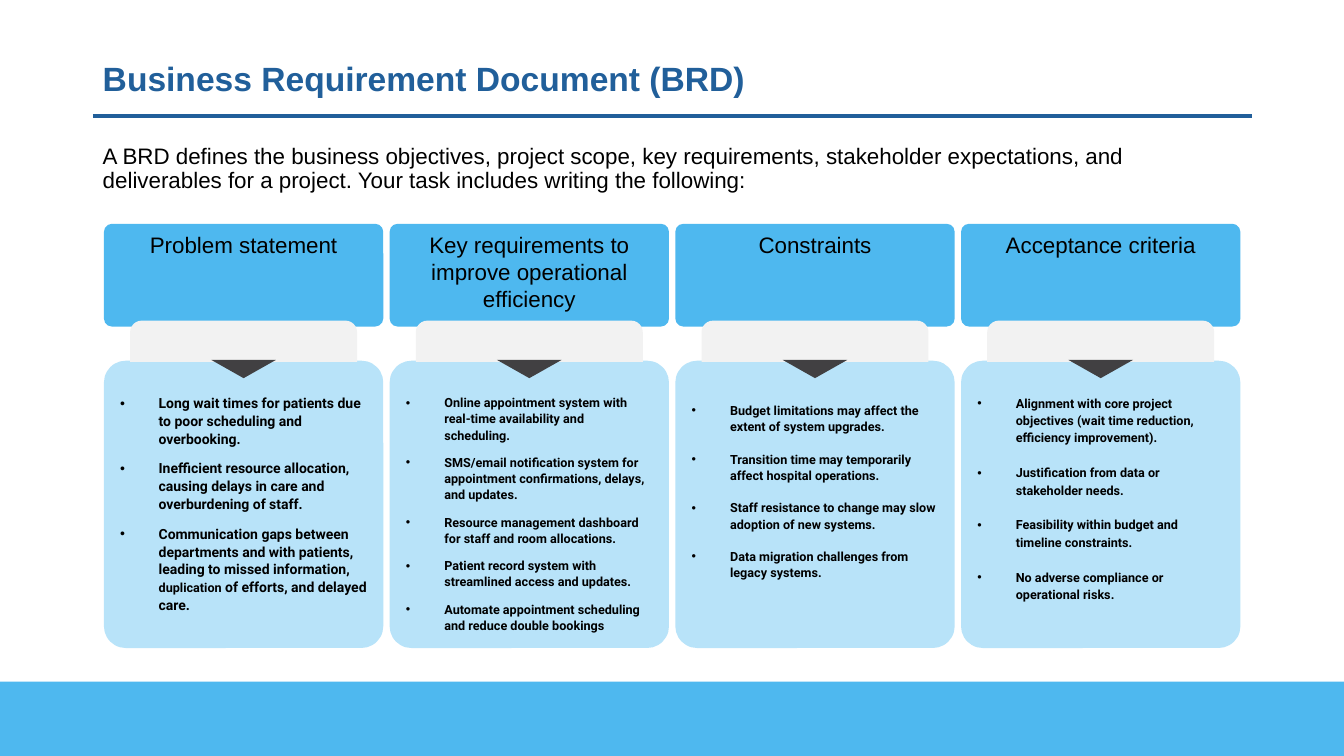
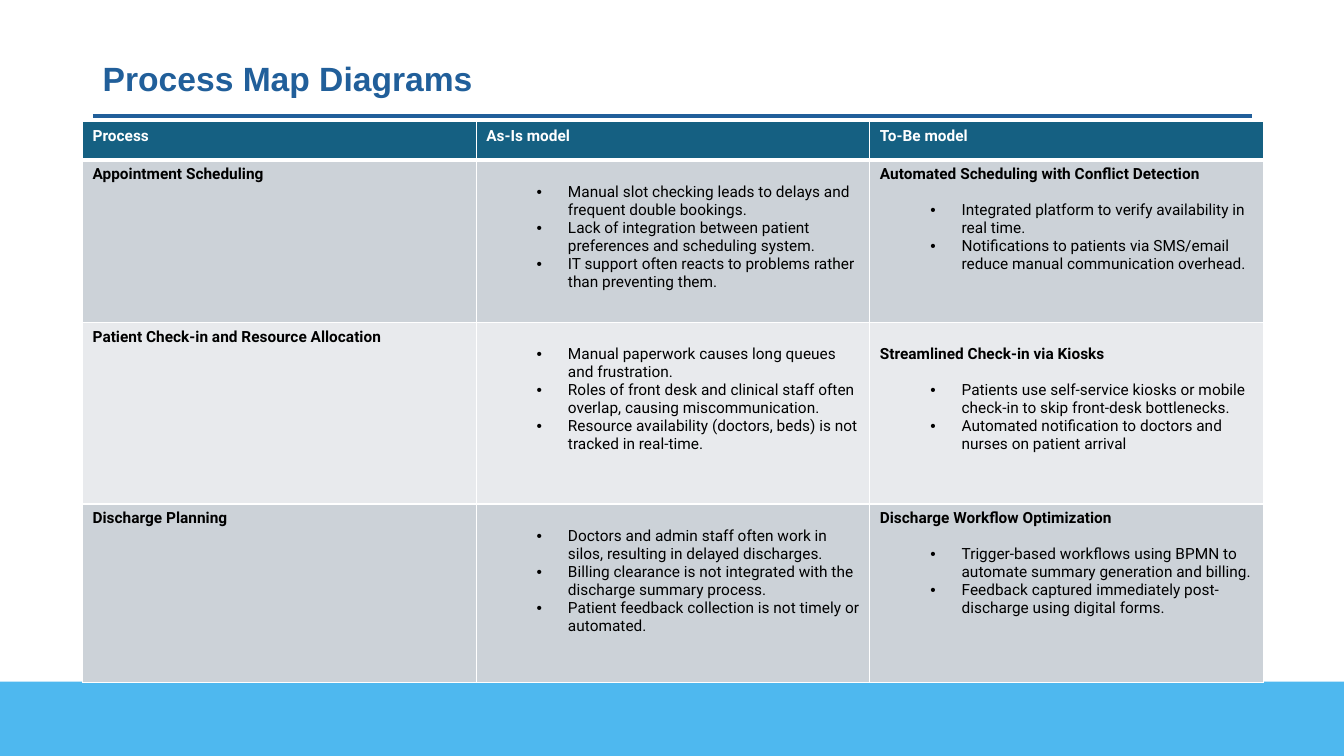
import pptx
import pptx.util
import pptx.dml.color
import pptx.enum.shapes
import pptx.enum.text
import pptx.oxml.ns
from lxml import etree

Cm, Pt = pptx.util.Cm, pptx.util.Pt
SHAPES = pptx.enum.shapes.MSO_SHAPE
ALIGN = pptx.enum.text.PP_ALIGN
ANCHOR = pptx.enum.text.MSO_ANCHOR
qn = pptx.oxml.ns.qn

COLORS = {
    "title": "215F9A", "accent": "4EB8EF", "card": "B8E3F9", "tab": "F2F2F2",
    "arrow": "414042", "ink": "000000", "white": "FFFFFF",
    "table_head": "156082", "odd_row": "CCD2D8", "even_row": "E8EAED",
}

BRD_TITLE = "Business Requirement Document (BRD)"
BRD_INTRO = (
    "A BRD defines the business objectives, project scope, key requirements, "
    "stakeholder expectations, and deliverables for a project. "
    "Your task includes writing the following:"
)
BRD_CARDS = [
    {
        "heading": "Problem statement", "size": 10, "spacing": 1.07, "gap": 8, "top": 0.67,
        "bullets": [
            "Long wait times for patients due to poor scheduling and overbooking.",
            "Inefficient resource allocation, causing delays in care and overburdening of staff.",
            (
                ("Communication gaps between departments and with patients, "
                 "leading to missed information, ", 10),
                ("duplication", 9),
                (" of efforts, and delayed care.", 10),
            ),
        ],
    },
    {
        "heading": "Key requirements to improve operational efficiency",
        "size": 9, "spacing": 1.07, "gap": 8, "top": 0.68,
        "bullets": [
            "Online appointment system with real-time availability and scheduling.",
            "SMS/email notification system for appointment confirmations, delays, and updates.",
            "Resource management dashboard for staff and room allocations.",
            "Patient record system with streamlined access and updates.",
            "Automate appointment scheduling and reduce double bookings",
        ],
    },
    {
        "heading": "Constraints", "size": 9, "spacing": 1.07, "gap": 11.6, "top": 0.88,
        "bullets": [
            "Budget limitations may affect the extent of system upgrades.",
            "Transition time may temporarily affect hospital operations.",
            "Staff resistance to change may slow adoption of new systems.",
            "Data migration challenges from legacy systems.",
        ],
    },
    {
        "heading": "Acceptance criteria", "size": 9, "spacing": 1.15, "gap": 12.4, "top": 0.66,
        "bullets": [
            "Alignment with core project objectives (wait time reduction, efficiency improvement).",
            "Justification from data or stakeholder needs.",
            "Feasibility within budget and timeline constraints.",
            "No adverse compliance or operational risks.",
        ],
    },
]

PROCESS_TITLE = "Process Map Diagrams"
PROCESS_HEADINGS = ["Process", "As-Is model", "To-Be model"]
PROCESSES = [
    {
        "process": "Appointment Scheduling", "height": 4.09, "to_be_top": 0.13,
        "as_is": [
            "Manual slot checking leads to delays and frequent double bookings.",
            "Lack of integration between patient preferences and scheduling system.",
            "IT support often reacts to problems rather than preventing them.",
        ],
        "to_be": "Automated Scheduling with Conflict Detection",
        "changes": [
            "Integrated platform to verify availability in real time.",
            "Notifications to patients via SMS/email reduce manual communication overhead.",
        ],
    },
    {
        "process": "Patient Check-in and Resource Allocation", "height": 4.57, "to_be_top": 0.58,
        "as_is": [
            "Manual paperwork causes long queues and frustration.",
            "Roles of front desk and clinical staff often overlap, causing miscommunication.",
            "Resource availability (doctors, beds) is not tracked in real-time.",
        ],
        "to_be": "Streamlined Check-in via Kiosks",
        "changes": [
            "Patients use self-service kiosks or mobile check-in to skip front-desk bottlenecks.",
            "Automated notification to doctors and nurses on patient arrival",
        ],
    },
    {
        "process": "Discharge Planning", "height": 4.5, "to_be_top": 0.13,
        "as_is": [
            "Doctors and admin staff often work in silos, resulting in delayed discharges.",
            "Billing clearance is not integrated with the discharge summary process.",
            "Patient feedback collection is not timely or automated.",
        ],
        "to_be": "Discharge Workflow Optimization",
        "changes": [
            "Trigger-based workflows using BPMN to automate summary generation and billing.",
            "Feedback captured immediately post-discharge using digital forms.",
        ],
    },
]

PAGE_WIDTH, PAGE_HEIGHT = 33.87, 19.05
MARGIN, BODY_WIDTH = 2.34, 29.21
CARD_LEFT, CARD_WIDTH, CARD_STEP = 2.62, 7.04, 7.2
TABLE_LEFT, TABLE_TOP, COLUMN_WIDTH, HEAD_HEIGHT = 2.08, 3.07, 9.92, 0.97
LINE_GAP = 12.9
HEADING = {"size": Pt(16), "name": "Arial", "bold": False}
TABLE_FONT = {"size": Pt(11), "name": "Roboto"}


def rgb(color):
    return pptx.dml.color.RGBColor.from_string(COLORS[color])


def apply_format(target, values):
    for key, value in values.items():
        setattr(target, key, value)


def write(paragraph, text, font, color="ink", **layout):
    run = paragraph.add_run()
    run.text = text
    apply_format(run.font, font)
    run.font.color.rgb = rgb(color)
    apply_format(paragraph, layout)


def add_bullet(paragraph, left, hanging):
    properties = paragraph._p.get_or_add_pPr()
    properties.set("marL", str(Cm(left)))
    properties.set("indent", str(-Cm(hanging)))
    etree.SubElement(properties, qn("a:buFont"), typeface="Arial")
    etree.SubElement(properties, qn("a:buChar"), char="•")


def next_paragraph(frame):
    first = frame.paragraphs[0]
    return frame.add_paragraph() if first.runs else first


def add_panel(slide, kind, left, top, width, height, color, rounding=None):
    panel = slide.shapes.add_shape(kind, Cm(left), Cm(top), Cm(width), Cm(height))
    panel.shadow.inherit = False
    panel.fill.solid()
    panel.fill.fore_color.rgb = rgb(color)
    panel.line.fill.background()
    if rounding is not None:
        panel.adjustments[0] = rounding
    return panel


def add_text(slide, text, top, height, font, color, anchor):
    box = slide.shapes.add_textbox(Cm(MARGIN), Cm(top), Cm(BODY_WIDTH), Cm(height))
    apply_format(box.text_frame, {"word_wrap": True, "vertical_anchor": anchor})
    write(box.text_frame.paragraphs[0], text, font, color, line_spacing=0.9)


def add_framed_slide(deck, title):
    slide = deck.slides.add_slide(deck.slide_layouts[6])
    title_font = {"size": Pt(24), "name": "Arial", "bold": True}
    add_text(slide, title, 1.02, 2.01, title_font, "title", ANCHOR.MIDDLE)
    add_panel(slide, SHAPES.RECTANGLE, 0, 17.18, PAGE_WIDTH, PAGE_HEIGHT - 17.18, "accent")
    rule = slide.shapes.add_connector(
        pptx.enum.shapes.MSO_CONNECTOR.STRAIGHT,
        Cm(MARGIN), Cm(2.92), Cm(MARGIN + BODY_WIDTH), Cm(2.92))
    rule.line.color.rgb = rgb("title")
    rule.line.width = Pt(3)
    etree.SubElement(rule._element.spPr, qn("a:effectLst"))
    return slide


def add_card(slide, left, card):
    body = add_panel(slide, SHAPES.ROUNDED_RECTANGLE, left, 9.09, CARD_WIDTH, 7.24, "card", 0.078)
    apply_format(body.text_frame, {
        "word_wrap": True, "vertical_anchor": ANCHOR.TOP, "margin_top": Cm(card["top"])})
    for bullet in card["bullets"]:
        paragraph = next_paragraph(body.text_frame)
        add_bullet(paragraph, 0.97, 0.97)
        pieces = ((bullet, card["size"]),) if isinstance(bullet, str) else bullet
        for text, size in pieces:
            write(paragraph, text, {"size": Pt(size), "name": "Roboto", "bold": True},
                  alignment=ALIGN.LEFT, line_spacing=card["spacing"], space_after=Pt(card["gap"]))

    header = add_panel(slide, SHAPES.ROUNDED_RECTANGLE, left, 5.64, CARD_WIDTH, 2.59, "accent", 0.078)
    apply_format(header.text_frame, {"word_wrap": True, "vertical_anchor": ANCHOR.TOP})
    write(header.text_frame.paragraphs[0], card["heading"], HEADING, alignment=ALIGN.CENTER)

    for kind, width, top, height, color, rounding in (
        (SHAPES.ROUND_2_SAME_RECTANGLE, 5.72, 8.08, 1.04, "tab", 0.28),
        (SHAPES.FLOWCHART_MERGE, 1.63, 9.07, 0.46, "arrow", None),
    ):
        add_panel(slide, kind, left + (CARD_WIDTH - width) / 2, top, width, height, color, rounding)


def style_cell(cell, color, top_border, bottom_border):
    properties = cell._tc.get_or_add_tcPr()
    for side, width in (("L", 1), ("R", 1), ("T", top_border), ("B", bottom_border)):
        border = etree.SubElement(properties, qn("a:ln" + side), w=str(Pt(width)))
        fill = etree.SubElement(border, qn("a:solidFill"))
        etree.SubElement(fill, qn("a:srgbClr"), val=COLORS["white"])
    cell.fill.solid()
    cell.fill.fore_color.rgb = rgb(color)


def fill_cell(cell, heading, bullets, top=0.13, color="ink"):
    cell.margin_top = Cm(top)
    if heading:
        write(cell.text_frame.paragraphs[0], heading, {**TABLE_FONT, "bold": True}, color)
    for index, bullet in enumerate(bullets):
        paragraph = next_paragraph(cell.text_frame)
        add_bullet(paragraph, 2.06, 0.79)
        gap = LINE_GAP if heading and index == 0 else 0
        write(paragraph, bullet, {**TABLE_FONT, "bold": False}, space_before=Pt(gap))


def add_process_table(slide):
    heights = [HEAD_HEIGHT] + [row["height"] for row in PROCESSES]
    columns = len(PROCESS_HEADINGS)
    table = slide.shapes.add_table(
        len(heights), columns, Cm(TABLE_LEFT), Cm(TABLE_TOP),
        Cm(COLUMN_WIDTH * columns), Cm(sum(heights))).table
    table.horz_banding = False
    for column in table.columns:
        column.width = Cm(COLUMN_WIDTH)
    for index, height in enumerate(heights):
        table.rows[index].height = Cm(height)
        color = "table_head" if index == 0 else "odd_row" if index % 2 else "even_row"
        for cell in table.rows[index].cells:
            style_cell(cell, color, 3 if index == 1 else 1, 3 if index == 0 else 1)
    for column, heading in enumerate(PROCESS_HEADINGS):
        fill_cell(table.cell(0, column), heading, [], color="white")
    for index, row in enumerate(PROCESSES, 1):
        fill_cell(table.cell(index, 0), row["process"], [])
        fill_cell(table.cell(index, 1), None, row["as_is"], 0.58)
        fill_cell(table.cell(index, 2), row["to_be"], row["changes"], row["to_be_top"])


def main():
    deck = pptx.Presentation()
    apply_format(deck, {"slide_width": Cm(PAGE_WIDTH), "slide_height": Cm(PAGE_HEIGHT)})

    requirements = add_framed_slide(deck, BRD_TITLE)
    add_text(requirements, BRD_INTRO, 3.53, 2.46, HEADING, "ink", ANCHOR.TOP)
    for index, card in enumerate(BRD_CARDS):
        add_card(requirements, CARD_LEFT + index * CARD_STEP, card)

    add_process_table(add_framed_slide(deck, PROCESS_TITLE))
    deck.save("out.pptx")


if __name__ == "__main__":
    main()
